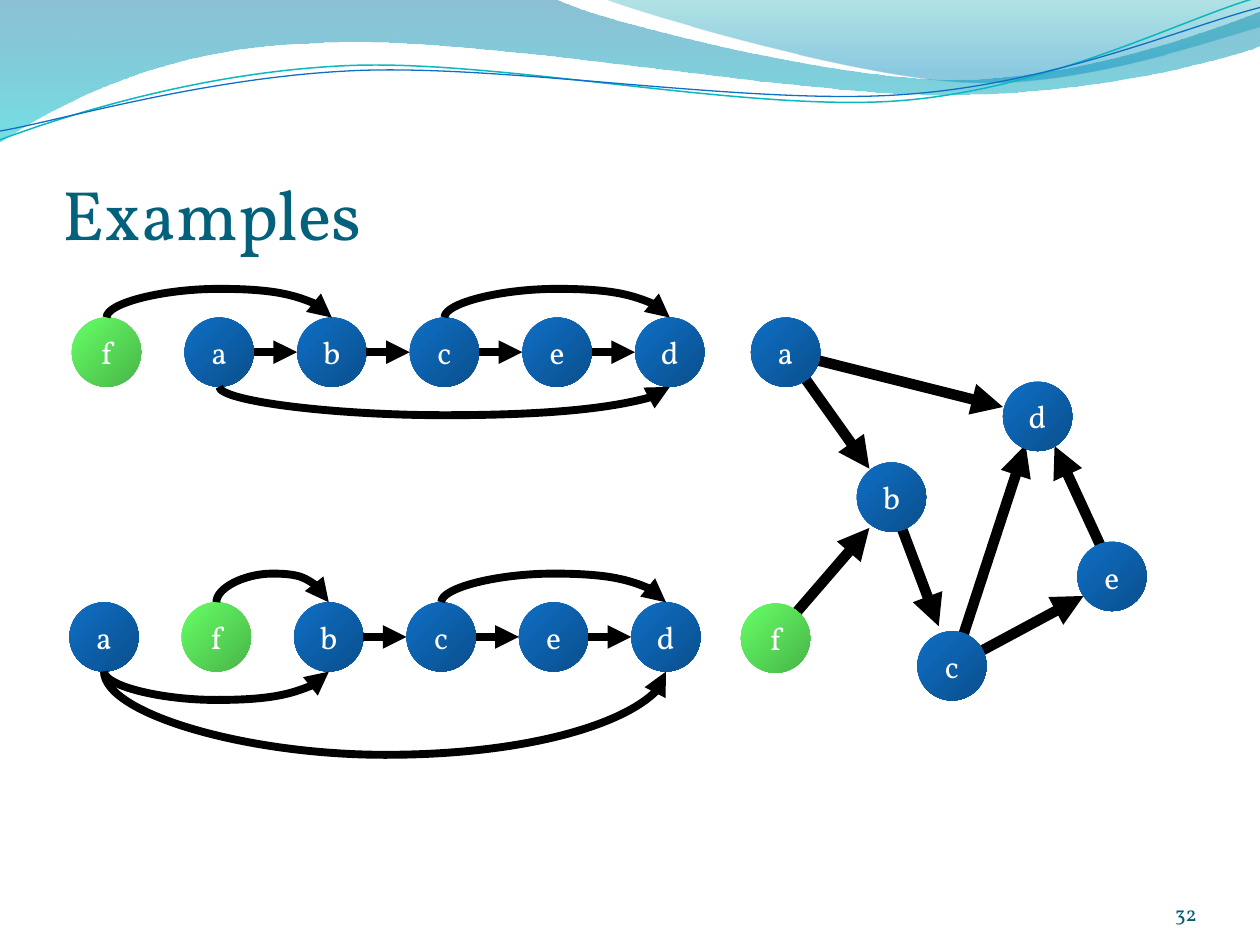
import math

from lxml import etree
from pptx import Presentation
from pptx.dml.color import RGBColor
from pptx.enum import shapes, text
from pptx.oxml.ns import qn
from pptx.util import Inches, Pt

BLACK = RGBColor(0x00, 0x00, 0x00)
WHITE = RGBColor(0xFF, 0xFF, 0xFF)
TITLE = RGBColor(0x04, 0x61, 0x7B)
NUMBER = RGBColor(0x04, 0x5D, 0x75)
BLUE = RGBColor(0x0F, 0x6F, 0xC6)
GREEN = RGBColor(0x66, 0xFF, 0x66)
TEAL = RGBColor(0x0A, 0xB8, 0xBF)
WAVE_BACK = (RGBColor(0x00, 0x74, 0xA1), RGBColor(0x00, 0xC6, 0xCF))
WAVE_FRONT = (RGBColor(0x00, 0xA1, 0xA9), RGBColor(0x00, 0x8B, 0xBF))

FONT = "Vollkorn"
NODE = 0.55
PITCH = 0.89
CURVE_WIDTH = 1588
RIBBON_TILT = 2.7


def set_gradient(shape, colors, angle, last, modifiers):
    shape.fill.gradient()
    shape.fill.gradient_angle = 360 - angle
    for stop, color, position in zip(shape.fill.gradient_stops, colors, (0, last)):
        stop.color.rgb = color
        stop.position = position
    for color, (name, percent) in zip(shape._element.iter(qn("a:srgbClr")), modifiers):
        etree.SubElement(color, qn(f"a:{name}")).set("val", str(percent * 1000))


def write(shape, words, size, color, align, frame_format):
    frame = shape.text_frame
    for name, value in frame_format.items():
        setattr(frame, name, value)
    paragraph = frame.paragraphs[0]
    paragraph.alignment = align
    run = paragraph.add_run()
    run.text = words
    for name, value in {"name": FONT, "size": Pt(size)}.items():
        setattr(run.font, name, value)
    run.font.color.rgb = color


def label(slide, box, words, size, color, align, margin_top=0):
    write(slide.shapes.add_textbox(*map(Inches, box)), words, size, color, align, {
        "word_wrap": True,
        "vertical_anchor": text.MSO_ANCHOR.BOTTOM,
        "margin_left": 0, "margin_right": 0, "margin_bottom": 0,
        "margin_top": Inches(margin_top),
    })


def wave(slide, start, segments, closed):
    places = [(Inches(x), Inches(y)) for segment in (start, *segments)
              for x, y in zip(segment[::2], segment[1::2])]
    builder = slide.shapes.build_freeform(*places[0])
    builder.add_line_segments(places[1:], close=closed)
    shape = builder.convert_to_shape()
    shape.shadow.inherit = False
    steps = iter(list(shape._element.iter(qn("a:lnTo"))))
    for segment in segments:
        first = next(steps)
        if len(segment) == 6:
            curve = etree.Element(qn("a:cubicBezTo"))
            first.addprevious(curve)
            for step in (first, next(steps), next(steps)):
                curve.append(step[0])
                step.getparent().remove(step)
    return shape


def tilt(points, pivot, degrees):
    cos, sin = math.cos(math.radians(degrees)), math.sin(math.radians(degrees))
    turned = []
    for x, y in zip(points[::2], points[1::2]):
        dx, dy = x - pivot[0], y - pivot[1]
        turned += [pivot[0] + dx * cos - dy * sin, pivot[1] + dx * sin + dy * cos]
    return turned


def wave_header(slide, box):
    left, top, width, height = box
    back = wave(slide, (0, 0), [
        (4.4, -0.01), (4.76, 0.17, 6.64, 0.63, 7.58, 0.63),
        (8.53, 0.63, 9.58, 0.26, 10, 0.09), (10.01, 0.36),
        (9.83, 0.44, 8.7, 0.76, 7.46, 0.75), (6.22, 0.75, 3.82, 0.28, 2.57, 0.34),
        (1.29, 0.36, 0.46, 0.83, -0.01, 1.13), (0, 0),
    ], True)
    front = wave(slide, (4.79, -0.01), [
        (5.09, 0.11, 6.82, 0.62, 7.69, 0.65), (8.56, 0.69, 9.61, 0.32, 10, 0.21),
        (10, 0), (4.79, -0.01),
    ], True)
    set_gradient(back, WAVE_BACK, 90, 1.0, (("alpha", 45), ("alpha", 55)))
    set_gradient(front, WAVE_FRONT, 90, 0.8, (("alpha", 30), ("alpha", 45)))
    for shape in (back, front):
        shape.line.fill.background()

    pivot = (left + width / 2, top + height / 2)
    for color, weight, start, curves in (
        (TEAL, 0.85, (0, 1.11), [
            (0.48, 0.93, 1.58, 0.57, 2.77, 0.52), (3.95, 0.47, 5.93, 0.89, 7.13, 0.8),
            (8.33, 0.71, 9.38, 0.15, 9.98, -0.02)]),
        (BLUE, 0.75, (0, 1.04), [
            (0.47, 0.96, 1.64, 0.61, 2.83, 0.56), (4.03, 0.51, 5.97, 0.84, 7.17, 0.75),
            (8.36, 0.67, 9.41, 0.21, 10, 0.06)]),
    ):
        ribbon = wave(slide, tilt(start, pivot, RIBBON_TILT),
                      [tilt(curve, pivot, RIBBON_TILT) for curve in curves], False)
        ribbon.rotation = 360 - RIBBON_TILT
        ribbon.fill.background()
        ribbon.line.color.rgb = color
        ribbon.line.width = Pt(weight)


def node(slide, left, top, letter):
    circle = slide.shapes.add_shape(
        shapes.MSO_SHAPE.OVAL, *map(Inches, (left, top, NODE, NODE)))
    circle.shadow.inherit = False
    circle.line.fill.background()
    color = GREEN if letter == "f" else BLUE
    set_gradient(circle, (color, color), 45, 1.0, (("shade", 100), ("shade", 46)))
    write(circle, letter, 18, WHITE, text.PP_ALIGN.CENTER,
          {"word_wrap": False, "vertical_anchor": text.MSO_ANCHOR.MIDDLE})


def arrow(slide, kind, start, end, width):
    edge = slide.shapes.add_connector(kind, *map(Inches, (*start, *end)))
    edge.line.color.rgb = BLACK
    edge.line.width = Pt(width)
    etree.SubElement(edge.line._get_or_add_ln(), qn("a:tailEnd")).set("type", "triangle")
    etree.SubElement(edge._element.spPr, qn("a:effectLst"))
    return edge


def arc(slide, start_x, end_x, y, rise):
    middle, half = (start_x + end_x) / 2, (end_x - start_x) / 2
    above = rise < 0
    ends = [(middle, y + half), (middle, y - half)]
    if not above:
        ends.reverse()
    edge = arrow(slide, shapes.MSO_CONNECTOR.CURVE, *ends, 4.5)
    edge.width = CURVE_WIDTH
    properties = edge._element.spPr
    frame = properties.find(qn("a:xfrm"))
    frame.set("rot", str((90 if above else 270) * 60000))
    if not above:
        frame.set("flipH", "1")
    adjustments = properties.find(qn("a:prstGeom")).get_or_add_avLst()
    guide = etree.SubElement(adjustments, qn("a:gd"))
    guide.set("name", "adj1")
    guide.set("fmla", f"val {round(Inches(rise) / CURVE_WIDTH * 100000)}")


def ordering(slide, box, letters, straight, arcs):
    left, top, width = box
    pitch = (width - NODE) / (len(letters) - 1)
    lefts = {letter: left + i * pitch for i, letter in enumerate(letters)}
    for letter, x in lefts.items():
        node(slide, x, top, letter)
    middle = top + NODE / 2
    for source, target in straight:
        arrow(slide, shapes.MSO_CONNECTOR.STRAIGHT,
              (lefts[source] + NODE, middle), (lefts[target], middle), 4.5)
    for (source, target), rise in arcs:
        arc(slide, lefts[source] + NODE / 2, lefts[target] + NODE / 2,
            top if rise < 0 else top + NODE, rise)


def graph(slide, box, places, edges):
    left, top = box
    for x1, y1, x2, y2 in edges:
        arrow(slide, shapes.MSO_CONNECTOR.STRAIGHT,
              (left + x1, top + y1), (left + x2, top + y2), 6)
    for letter, (x, y) in places.items():
        node(slide, left + x, top + y, letter)


def main():
    deck = Presentation()
    deck.slide_width, deck.slide_height = Inches(10), Inches(7.5)
    slide = deck.slides.add_slide(deck.slide_layouts[6])
    wave_header(slide, (-0.02, 0.22, 10.02, 0.71))
    label(slide, (8.67, 6.95, 0.83, 0.4), "32", 12, NUMBER, text.PP_ALIGN.RIGHT)
    label(slide, (0.5, 0.77, 9, 1.25), "Examples", 40, TITLE, text.PP_ALIGN.LEFT, 0.05)
    ordering(slide, (0.57, 2.52, 5.02), "fabced", ("ab", "bc", "ce", "ed"),
             (("fb", -0.25), ("ad", 0.25), ("cd", -0.25)))
    graph(slide, (5.88, 2.52), {
        "a": (0.08, 0), "b": (0.92, 1.15), "d": (2.08, 0.51),
        "f": (0, 2.27), "c": (1.4, 2.49), "e": (2.67, 1.78),
    }, (
        (1.19, 1.44, 1.57, 2.45), (0.35, 0.26, 1.02, 1.2), (1.92, 2.64, 2.72, 2.21),
        (0.33, 0.27, 2.08, 0.71), (0.26, 2.55, 1.02, 1.67), (2.96, 2.04, 2.49, 1.02),
        (1.7, 2.72, 2.26, 1.01),
    ))
    ordering(slide, (0.55, 4.78, 5.01), "afbced", ("bc", "ce", "ed"),
             (("fb", -0.25), ("ab", 0.25), ("ad", 0.73), ("cd", -0.25)))
    deck.save("out.pptx")


if __name__ == "__main__":
    main()
